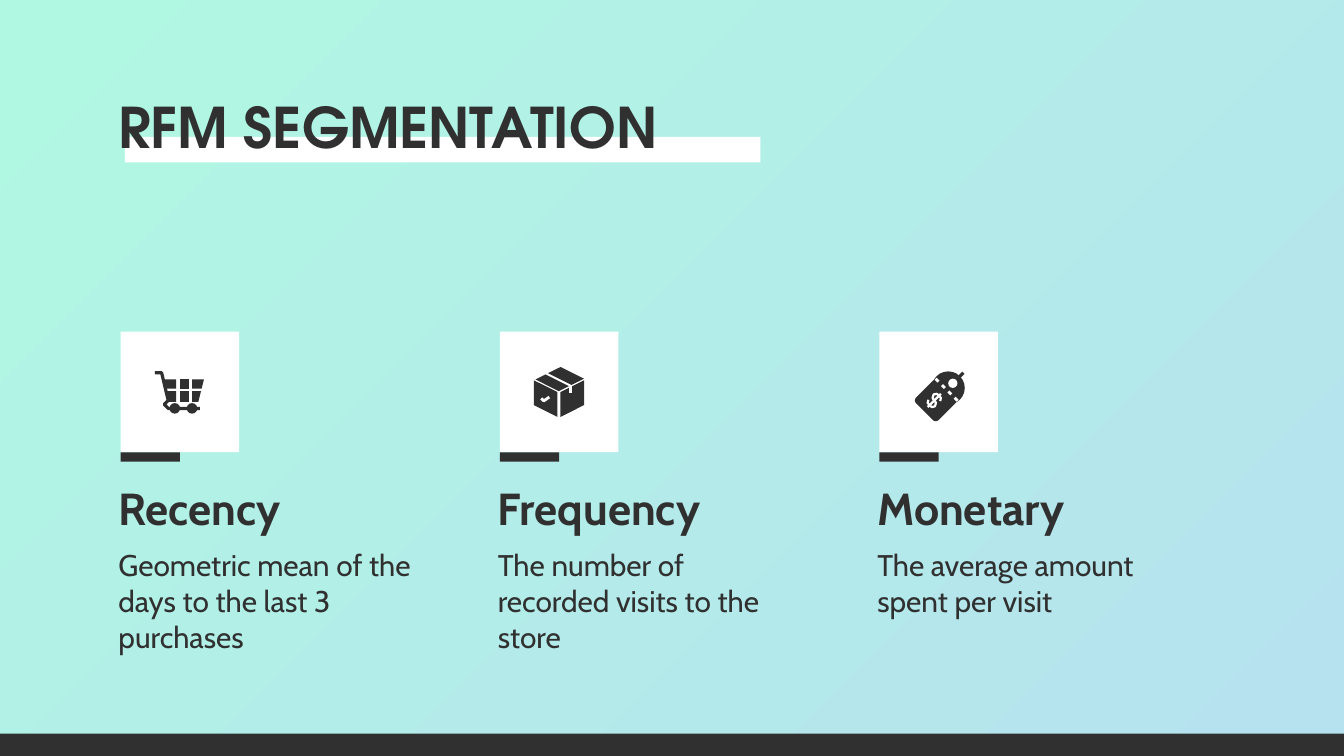
from dataclasses import dataclass
from itertools import product
from typing import Any

from pptx import Presentation
from pptx.dml.color import RGBColor
from pptx.enum.shapes import MSO_SHAPE as Shape
from pptx.util import Cm, Pt

DARK = "303030"
WHITE = "FFFFFF"
ICON_UNIT = Cm(0.025)


def color(hex_value):
    return RGBColor.from_string(hex_value)


def paint(shape, fill):
    shape.shadow.inherit = False
    shape.fill.solid()
    shape.fill.fore_color.rgb = color(fill)
    shape.line.fill.background()


def add_bar(slide, left, top, width, height, fill):
    paint(slide.shapes.add_shape(Shape.RECTANGLE, left, top, width, height), fill)


def add_text(slide, text, left, top, width, height, *, size, font="Cabin",
             bold=False, after=16):
    frame = slide.shapes.add_textbox(left, top, width, height).text_frame
    frame.word_wrap = True
    frame.margin_left = frame.margin_right = Cm(0.25)
    frame.margin_top = frame.margin_bottom = Cm(0.25)
    paragraph = frame.paragraphs[0]
    paragraph.space_after = Pt(after)
    run = paragraph.add_run()
    run.text = text
    run.font.name = font
    run.font.size = Pt(size)
    run.font.bold = bold
    run.font.color.rgb = color(DARK)


@dataclass
class IconCanvas:
    shapes: Any
    left: int
    top: int

    def place(self, x, y):
        return int(self.left + x * ICON_UNIT), int(self.top + y * ICON_UNIT)

    def trace(self, points, close):
        start, *others = [self.place(*point) for point in points]
        builder = self.shapes.build_freeform(*start)
        builder.add_line_segments(others, close=close)
        return builder.convert_to_shape()

    def polygon(self, points):
        paint(self.trace(points, True), DARK)

    def wire(self, points, stroke, width):
        shape = self.trace(points, False)
        shape.shadow.inherit = False
        shape.fill.background()
        shape.line.color.rgb = color(stroke)
        shape.line.width = Pt(width)

    def centred(self, kind, x, y, size, fill, rotation=0):
        left, top = self.place(x - size / 2, y - size / 2)
        side = int(size * ICON_UNIT)
        shape = self.shapes.add_shape(kind, left, top, side, side)
        shape.rotation = rotation
        paint(shape, fill)
        return shape


def draw_cart(canvas):
    handle = [(26, 31), (31, 31)]
    chassis = [(36, 52), (33, 55), (36, 58), (60, 58)]
    canvas.wire(handle + chassis, DARK, 1.7)

    def left_edge(y):
        return 32 + (y - 36) / 4

    def right_edge(y):
        return 63 - (y - 36) / 4

    rows = [(36, 43), (45, 53)]
    columns = [(left_edge, lambda y: 42),
               (lambda y: 45, lambda y: 52),
               (lambda y: 54, right_edge)]
    for (top, bottom), (left, right) in product(rows, columns):
        canvas.polygon([(left(top), top), (left(bottom), bottom),
                        (right(bottom), bottom), (right(top), top)])
    for wheel_x in (41, 54):
        canvas.centred(Shape.OVAL, wheel_x, 58, 8, DARK)


def draw_parcel(canvas):
    def project(right, left, down):
        return 44.5 + 19 * (right - left), 45 - 9.5 * (right + left) + 20 * down

    def face(rights, lefts, downs):
        corners = list(product(rights, lefts, downs))
        first, second, third, fourth = [project(*corner) for corner in corners]
        canvas.polygon([first, second, fourth, third])

    near_edge, far_edge = 0.06, 1
    face([0], [near_edge, far_edge], [near_edge, far_edge])
    face([near_edge, far_edge], [0], [near_edge, far_edge])
    for lid_half in ([0, 0.4], [0.5, 1]):
        face(lid_half, [0, 0.93], [0])
    tape = [project(0.45, 0, depth) for depth in (0, 0.3)]
    check_mark = [project(0, left, down)
                  for left, down in ((0.7, 0.6), (0.6, 0.65), (0.38, 0.4))]
    canvas.wire(tape, WHITE, 1.5)
    canvas.wire(check_mark, WHITE, 1.5)


def draw_price_tag(canvas):
    body_x, body_y = 42.5, 52
    head_x, head_y = body_x + 9.5, body_y - 9.5
    body = canvas.centred(Shape.ROUNDED_RECTANGLE, body_x, body_y, 24, DARK, 45)
    body.adjustments[0] = 0.12
    canvas.centred(Shape.OVAL, head_x, head_y, 25, DARK)
    canvas.centred(Shape.OVAL, head_x + 3.5, head_y - 3.5, 7, WHITE)
    canvas.wire([(head_x + 8, head_y - 8), (head_x + 11.5, head_y - 11.5)], DARK, 1.7)
    for hole in range(4):
        x, y = 42.5 + 4.8 * hole, 35.5 + 4.8 * hole
        canvas.wire([(x, y), (x + 2.2, y + 2.2)], WHITE, 1.5)

    def on_body(across, along):
        return body_x + across + along, body_y + across - along

    dollar_curve = [(2.5, 2), (1.5, 3.5), (-1.5, 3.5), (-2.5, 2), (-1.5, 0.2),
                    (1.5, -0.2), (2.5, -2), (1.5, -3.5), (-1.5, -3.5), (-2.5, -2)]
    dollar_bar = [(0, 5), (0, -5)]
    for stroke in (dollar_curve, dollar_bar):
        canvas.wire([on_body(across - 0.5, along - 0.5)
                     for across, along in stroke], WHITE, 1.2)


SEGMENTS = [
    ("Recency", "Geometric mean of the days to the last 3 purchases", draw_cart),
    ("Frequency", "The number of recorded visits to the store", draw_parcel),
    ("Monetary", "The average amount spent per visit", draw_price_tag),
]


def add_background(slide, width, height):
    fill = slide.background.fill
    fill.gradient()
    fill.gradient_angle = 315
    for stop, hex_value in zip(fill.gradient_stops, ("B0F8E2", "B6E2EF")):
        stop.color.rgb = color(hex_value)
    footer = Cm(0.42)
    add_bar(slide, 0, height - footer, width, footer, DARK)


def add_title(slide, left, top, width, height):
    add_bar(slide, left + Cm(0.37), top + Cm(1.09), Cm(12.01), Cm(0.48), WHITE)
    add_text(slide, "RFM SEGMENTATION", left, top, width, height, size=30,
             font="TeX Gyre Adventor", bold=True, after=0)


def add_segment(slide, left, top, width, name, description, draw_icon):
    tile_left, tile_width, tile_height = left + Cm(0.29), Cm(2.24), Cm(2.28)
    add_bar(slide, tile_left, top, tile_width, tile_height, WHITE)
    add_bar(slide, tile_left, top + tile_height, tile_width // 2, Cm(0.18), DARK)
    icon = slide.shapes.add_group_shape()
    draw_icon(IconCanvas(icon.shapes, tile_left, top))
    add_text(slide, name, left, top + Cm(2.57), width, Cm(1.57), size=24, bold=True)
    add_text(slide, description, left, top + Cm(3.82), width, Cm(1.96), size=16)


def main():
    presentation = Presentation()
    presentation.slide_width = Cm(25.4)
    presentation.slide_height = Cm(14.29)
    slide = presentation.slides.add_slide(presentation.slide_layouts[6])
    left = Cm(1.99)
    add_background(slide, presentation.slide_width, presentation.slide_height)
    add_title(slide, left, Cm(1.5), Cm(18.06), Cm(1.96))
    for index, segment in enumerate(SEGMENTS):
        add_segment(slide, left + index * Cm(7.17), Cm(6.27), Cm(6.25), *segment)
    presentation.save("out.pptx")


if __name__ == "__main__":
    main()
